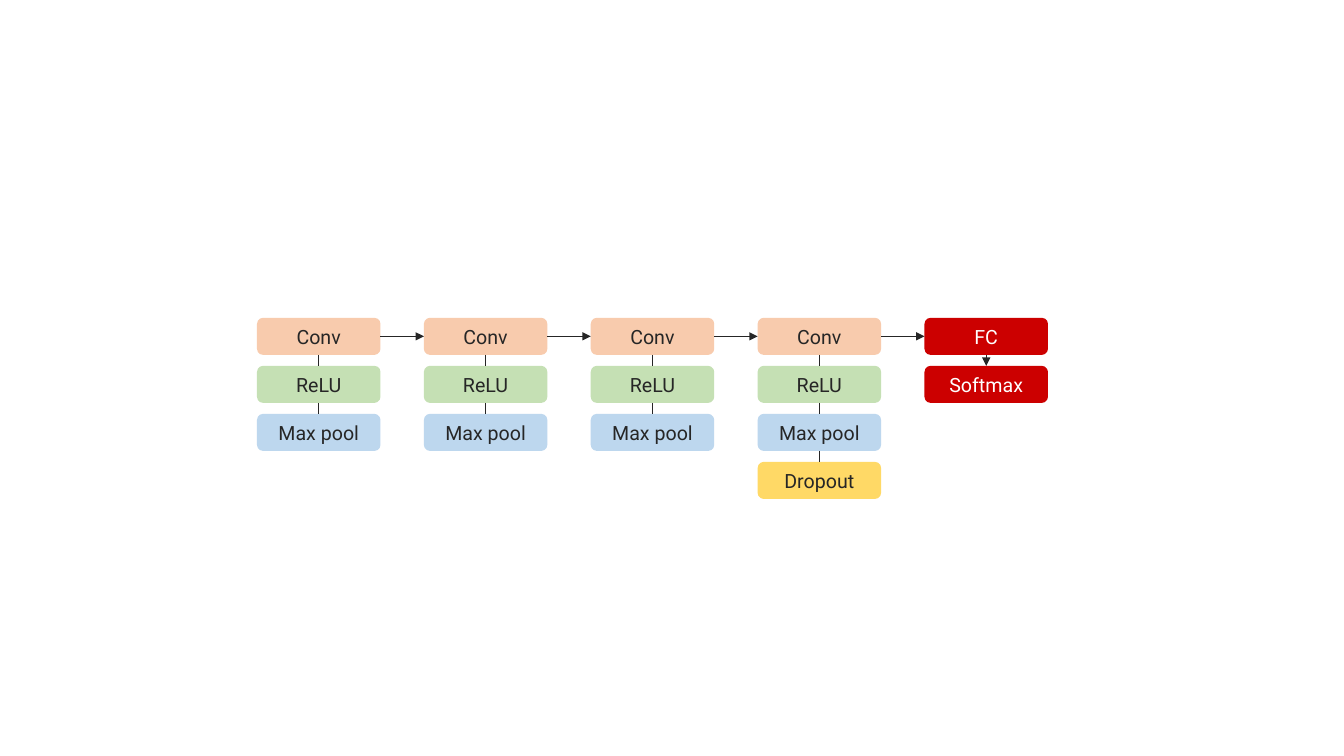
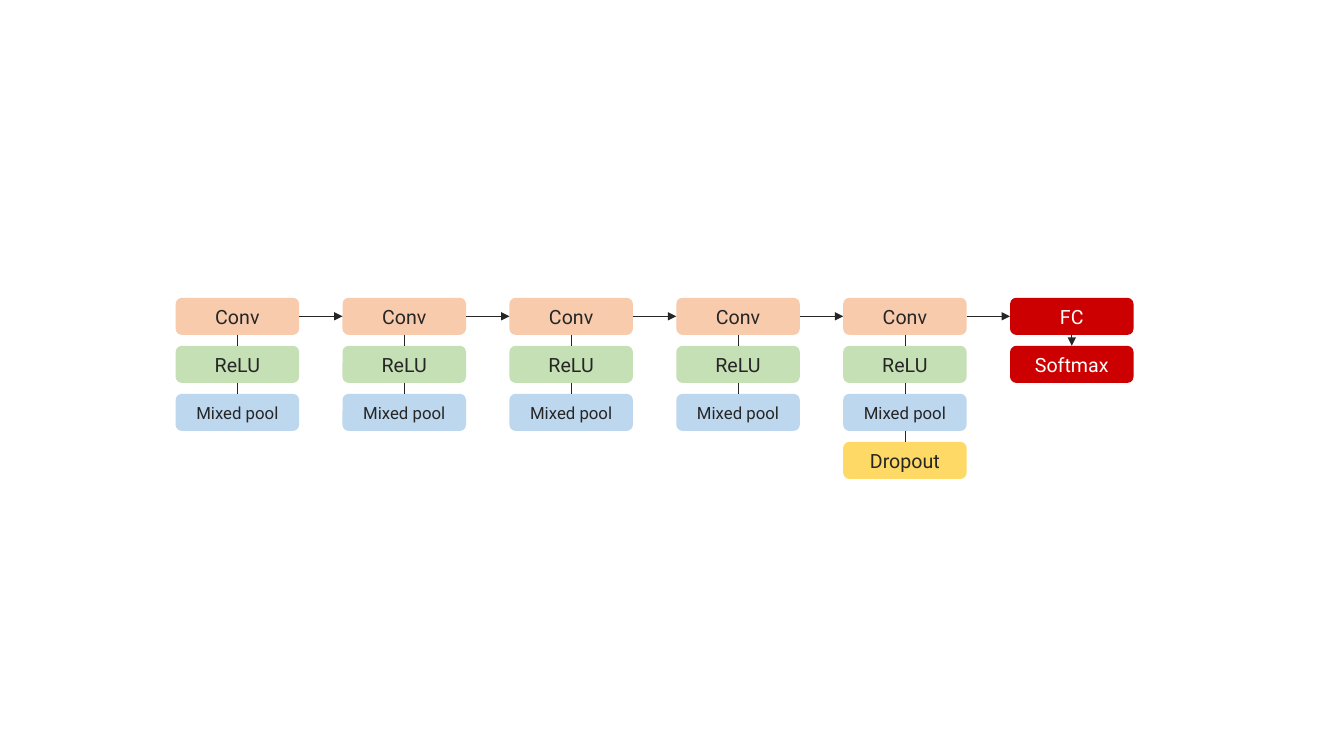
from dataclasses import dataclass

from lxml import etree
from pptx import Presentation
from pptx.dml.color import RGBColor
from pptx.enum.shapes import MSO_CONNECTOR, MSO_SHAPE
from pptx.enum.text import MSO_ANCHOR, PP_ALIGN
from pptx.oxml.ns import qn
from pptx.shapes.autoshape import Shape
from pptx.slide import Slide
from pptx.util import Pt

ROUNDED = MSO_SHAPE.ROUNDED_RECTANGLE
STRAIGHT = MSO_CONNECTOR.STRAIGHT
MIDDLE = MSO_ANCHOR.MIDDLE
CENTER = PP_ALIGN.CENTER
BLANK_LAYOUT = 6
TOP, LEFT, BOTTOM, RIGHT = range(4)  # connection sites of a rounded rectangle


@dataclass(frozen=True)
class Theme:
    font: str = "Roboto"
    label_size: float = 14
    small_size: float = 12
    line_width: float = 0.5
    ink: str = "262626"
    white: str = "FFFFFF"
    orange: str = "F8CBAD"
    green: str = "C5E0B4"
    blue: str = "BDD7EE"
    yellow: str = "FFD966"
    red: str = "CC0000"


THEME = Theme()


@dataclass(frozen=True)
class Grid:
    """Placement of layer boxes by column and row, in points."""
    left: float
    top: float
    box_width: float = 88.2
    box_height: float = 26.5
    column_step: float = 119.2
    row_step: float = 34.3


@dataclass(frozen=True)
class Layer:
    label: str
    fill: str
    ink: str = THEME.ink
    size: float = THEME.label_size


@dataclass(frozen=True)
class Stack:
    layers: tuple[Layer, ...]
    arrows: bool = False


@dataclass(frozen=True)
class Network:
    grid: Grid
    stacks: tuple[Stack, ...]


def build_network(grid: Grid, block_count: int, pool: Layer) -> Network:
    """Repeat a convolution block, end the last one in dropout, and add the classifier."""
    block = (Layer("Conv", THEME.orange), Layer("ReLU", THEME.green), pool)
    last_block = (*block, Layer("Dropout", THEME.yellow))
    classifier = tuple(Layer(label, THEME.red, THEME.white) for label in ("FC", "Softmax"))
    return Network(grid, (
        *[Stack(block)] * (block_count - 1),
        Stack(last_block),
        Stack(classifier, arrows=True),
    ))


NETWORKS = (
    build_network(Grid(left=183.6, top=227), 4, Layer("Max pool", THEME.blue)),
    build_network(Grid(left=125.5, top=212.7), 5,
                  Layer("Mixed pool", THEME.blue, size=THEME.small_size)),
)


def draw_layer(page: Slide, grid: Grid, layer: Layer, column: int, row: int) -> Shape:
    box = page.shapes.add_shape(
        ROUNDED,
        Pt(grid.left + column * grid.column_step),
        Pt(grid.top + row * grid.row_step),
        Pt(grid.box_width),
        Pt(grid.box_height),
    )
    box.shadow.inherit = False
    box.fill.solid()
    box.fill.fore_color.rgb = RGBColor.from_string(layer.fill)
    box.line.fill.background()
    box.text_frame.vertical_anchor = MIDDLE
    para = box.text_frame.paragraphs[0]
    para.text = layer.label
    para.alignment = CENTER
    para.font.name = THEME.font
    para.font.size = Pt(layer.size)
    para.font.color.rgb = RGBColor.from_string(layer.ink)
    return box


def link(page: Slide, start: Shape, start_site: int,
         end: Shape, end_site: int, arrow: bool) -> None:
    """Glue a line to two boxes at the given connection sites."""
    connector = page.shapes.add_connector(STRAIGHT, 0, 0, 0, 0)
    connector.begin_connect(start, start_site)
    connector.end_connect(end, end_site)
    connector.line.width = Pt(THEME.line_width)
    connector.line.color.rgb = RGBColor.from_string(THEME.ink)
    properties = connector.element.spPr
    if arrow:
        etree.SubElement(properties.find(qn("a:ln")), qn("a:tailEnd"), type="triangle")
    etree.SubElement(properties, qn("a:effectLst"))


def draw_network(page: Slide, network: Network) -> None:
    heads: list[Shape] = []
    for column, stack in enumerate(network.stacks):
        boxes = [draw_layer(page, network.grid, layer, column, row)
                 for row, layer in enumerate(stack.layers)]
        for upper, lower in zip(boxes, boxes[1:]):
            link(page, upper, BOTTOM, lower, TOP, stack.arrows)
        heads.append(boxes[0])
    for current, following in zip(heads, heads[1:]):
        link(page, current, RIGHT, following, LEFT, arrow=True)


def main() -> None:
    deck = Presentation()
    deck.slide_width, deck.slide_height = Pt(960), Pt(540)
    for network in NETWORKS:
        page = deck.slides.add_slide(deck.slide_layouts[BLANK_LAYOUT])
        draw_network(page, network)
    deck.save("out.pptx")


if __name__ == "__main__":
    main()
